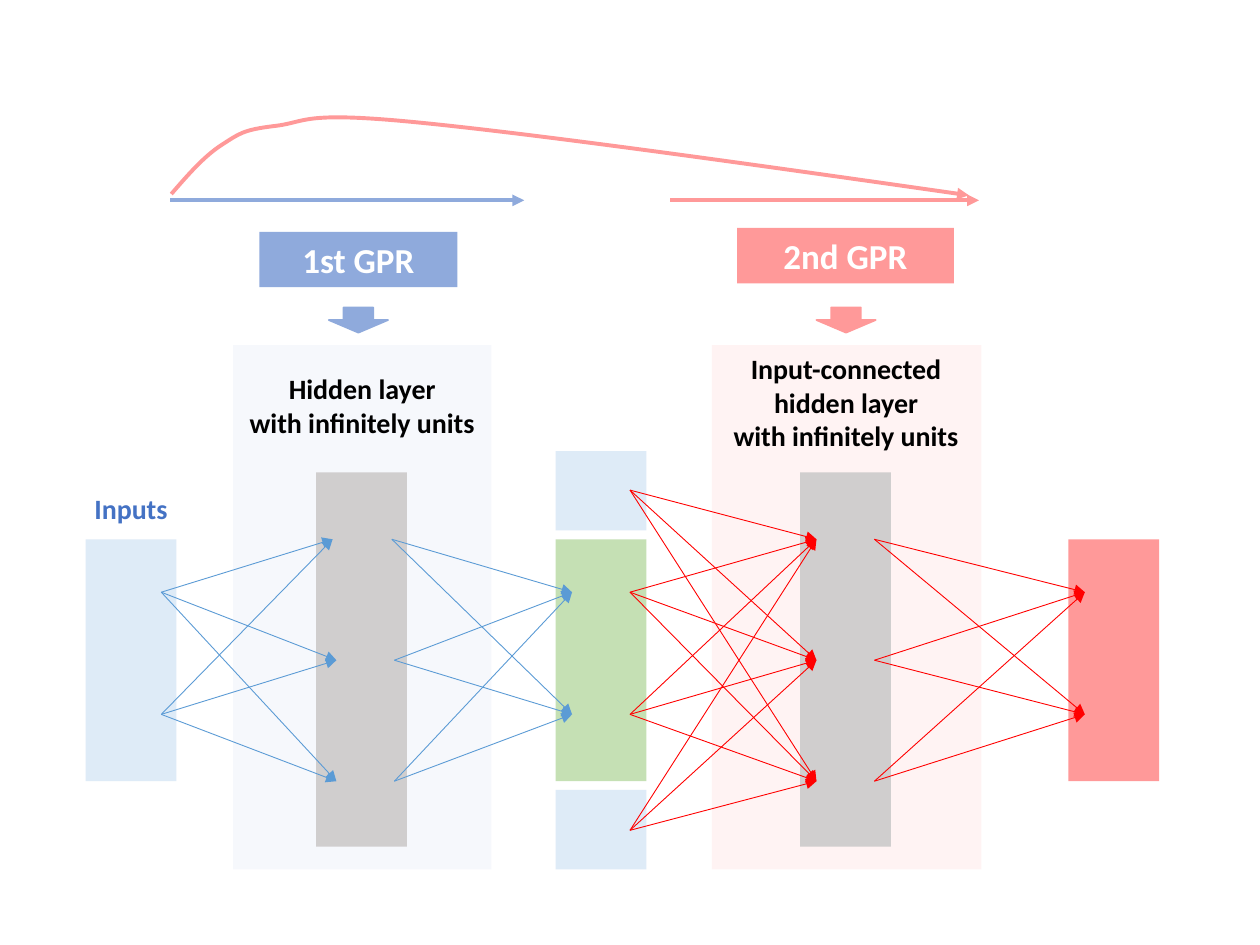
from dataclasses import dataclass
from itertools import product

import pptx
import pptx.dml.color
import pptx.enum.shapes
import pptx.enum.text
import pptx.oxml
import pptx.oxml.ns
import pptx.util
from pptx.util import Inches

SHAPE = pptx.enum.shapes.MSO_SHAPE
qn = pptx.oxml.ns.qn


@dataclass(frozen=True)
class Theme:
    font: str = "Calibri"
    label_size: int = 16
    title_size: int = 20
    thin: float = 0.5
    thick: float = 2.25
    black: str = "000000"
    white: str = "FFFFFF"
    inputs_text: str = "4472C4"
    inputs: str = "DEEBF7"
    units: str = "D0CECE"
    middle: str = "C5E0B4"
    first: str = "8FAADC"
    first_panel: str = "B4C7E7"
    second: str = "FF9999"
    first_link: str = "5B9BD5"
    second_link: str = "FF0000"


THEME = Theme()


def rgb(value):
    return pptx.dml.color.RGBColor.from_string(value)


def write_text(sp, text, size=THEME.label_size, color=THEME.black, bold=True):
    tf = sp.text_frame
    tf.word_wrap = True
    tf.auto_size = pptx.enum.text.MSO_AUTO_SIZE.SHAPE_TO_FIT_TEXT
    for i, line in enumerate(text.split("\n")):
        p = tf.paragraphs[0] if i == 0 else tf.add_paragraph()
        p.alignment = pptx.enum.text.PP_ALIGN.CENTER
        r = p.add_run()
        r.text = line
        r.font.name = THEME.font
        r.font.size = pptx.util.Pt(size)
        r.font.bold = bold
        r.font.color.rgb = rgb(color)


def add_label(slide, box, text, **style):
    write_text(slide.shapes.add_textbox(*map(Inches, box)), text, **style)


def add_block(slide, box, fill, kind=SHAPE.RECTANGLE, opacity=None, outline=None):
    """Add a filled shape; opacity is a percentage."""
    sp = slide.shapes.add_shape(kind, *map(Inches, box))
    sp.shadow.inherit = False
    sp.fill.solid()
    sp.fill.fore_color.rgb = rgb(fill)
    if opacity is not None:
        color = sp.fill._xPr.find(qn("a:solidFill"))[0]
        color.append(make_element("a:alpha", val=opacity * 1000))
    if outline:
        sp.line.color.rgb = rgb(outline)
        sp.line.width = pptx.util.Pt(1)
    else:
        sp.line.fill.background()
    return sp


def make_element(tag, **attributes):
    element = pptx.oxml.parse_xml(f"<{tag} {pptx.oxml.ns.nsdecls('a')}/>")
    for name, value in attributes.items():
        element.set(name, str(value))
    return element


def style_arrow(sp, color, width):
    sp.line.color.rgb = rgb(color)
    sp.line.width = pptx.util.Pt(width)
    sp.line._get_or_add_ln().append(make_element("a:tailEnd", type="triangle"))


def add_arrow(slide, start, end, color, width=THEME.thin):
    line = slide.shapes.add_connector(
        pptx.enum.shapes.MSO_CONNECTOR.STRAIGHT, *map(Inches, (*start, *end)))
    style_arrow(line, color, width)
    line._element.spPr.append(make_element("a:effectLst"))


def connect_all(slide, sources, targets, color):
    for start, end in product(sources, targets):
        add_arrow(slide, start, end, color)


def add_curved_arrow(slide, start, curves, color, width):
    """Add an open Bezier path; each curve is two control points and an end."""
    builder = slide.shapes.build_freeform(*map(Inches, start))
    builder.add_line_segments(
        [tuple(map(Inches, curve[-1])) for curve in curves], close=False)
    sp = builder.convert_to_shape()
    sp.shadow.inherit = False
    sp.fill.background()
    style_arrow(sp, color, width)
    for segment, curve in zip(list(sp._element.iter(qn("a:lnTo"))), curves):
        bezier = make_element("a:cubicBezTo")
        for x, y in curve:
            bezier.append(make_element(
                "a:pt", x=Inches(x) - sp.left, y=Inches(y) - sp.top))
        segment.getparent().replace(segment, bezier)


def column(x, ys):
    return [(x, y) for y in ys]


def add_layers(slide):
    layer_w = 0.72
    for y in (6.27, 3.58):
        add_block(slide, (4.41, y, layer_w, 0.63), THEME.inputs)
    add_block(slide, (1.85, 2.74, 2.05, 4.16), THEME.first_panel, opacity=11)
    add_block(slide, (5.65, 2.74, 2.14, 4.16), THEME.second, opacity=11)
    for x in (6.35, 2.51):
        add_block(slide, (x, 3.75, layer_w, 2.97), THEME.units)
    for x, fill in ((8.48, THEME.second), (4.41, THEME.middle), (0.68, THEME.inputs)):
        add_block(slide, (x, 4.28, layer_w, 1.92), fill)


def add_links(slide):
    outer_ys = (4.7, 5.67)
    hidden_ys = (4.28, 5.24, 6.2)
    hidden_in = [(2.64, 4.28), *column(2.67, hidden_ys[1:])]
    hidden_out = [(3.11, 4.28), *column(3.13, hidden_ys[1:])]
    connect_all(slide, column(1.28, outer_ys), hidden_in, THEME.first_link)
    connect_all(slide, hidden_out, column(4.54, outer_ys), THEME.first_link)
    connect_all(slide, column(6.94, hidden_ys), column(8.61, outer_ys), THEME.second_link)
    connect_all(slide, column(5, (*outer_ys, 3.89, 6.59)), column(6.48, hidden_ys),
                THEME.second_link)


def add_labels(slide):
    add_label(slide, (0.49, 3.85, 1.1, 0.37), "Inputs", color=THEME.inputs_text)
    add_label(slide, (1.8, 2.9, 2.15, 0.64), "Hidden layer\nwith infinitely units")
    add_label(slide, (5.64, 2.74, 2.15, 0.91),
              "Input-connected\nhidden layer\nwith infinitely units")


def add_stage(slide, title, box, color, arrow_x, span):
    """Add a GPR title, the block arrow under it and the span arrow over it."""
    add_arrow(slide, (span[0], 1.59), (span[1], 1.59), color, THEME.thick)
    write_text(add_block(slide, box, color), title,
               size=THEME.title_size, color=THEME.white)
    add_block(slide, (arrow_x, 2.44, 0.47, 0.2), color,
              kind=SHAPE.DOWN_ARROW, outline=color)


def main():
    prs = pptx.Presentation()
    prs.slide_width, prs.slide_height = Inches(10), Inches(7.5)
    slide = prs.slides.add_slide(prs.slide_layouts[6])
    add_layers(slide)
    add_links(slide)
    add_labels(slide)
    add_stage(slide, "1st GPR", (2.06, 1.84, 1.57, 0.44), THEME.first, 2.61, (1.35, 4.16))
    add_stage(slide, "2nd GPR", (5.85, 1.81, 1.72, 0.44), THEME.second, 6.48, (5.32, 7.77))
    add_curved_arrow(slide, (1.36, 1.54), [
        ((1.49, 1.39), (1.62, 1.24), (1.76, 1.15)),
        ((1.9, 1.06), (1.93, 1.03), (2.18, 1)),
        ((2.44, 0.97), (2.38, 0.88), (3.3, 0.97)),
        ((4.22, 1.06), (5.95, 1.3), (7.69, 1.55)),
    ], THEME.second, THEME.thick)
    prs.save("out.pptx")


if __name__ == "__main__":
    main()
